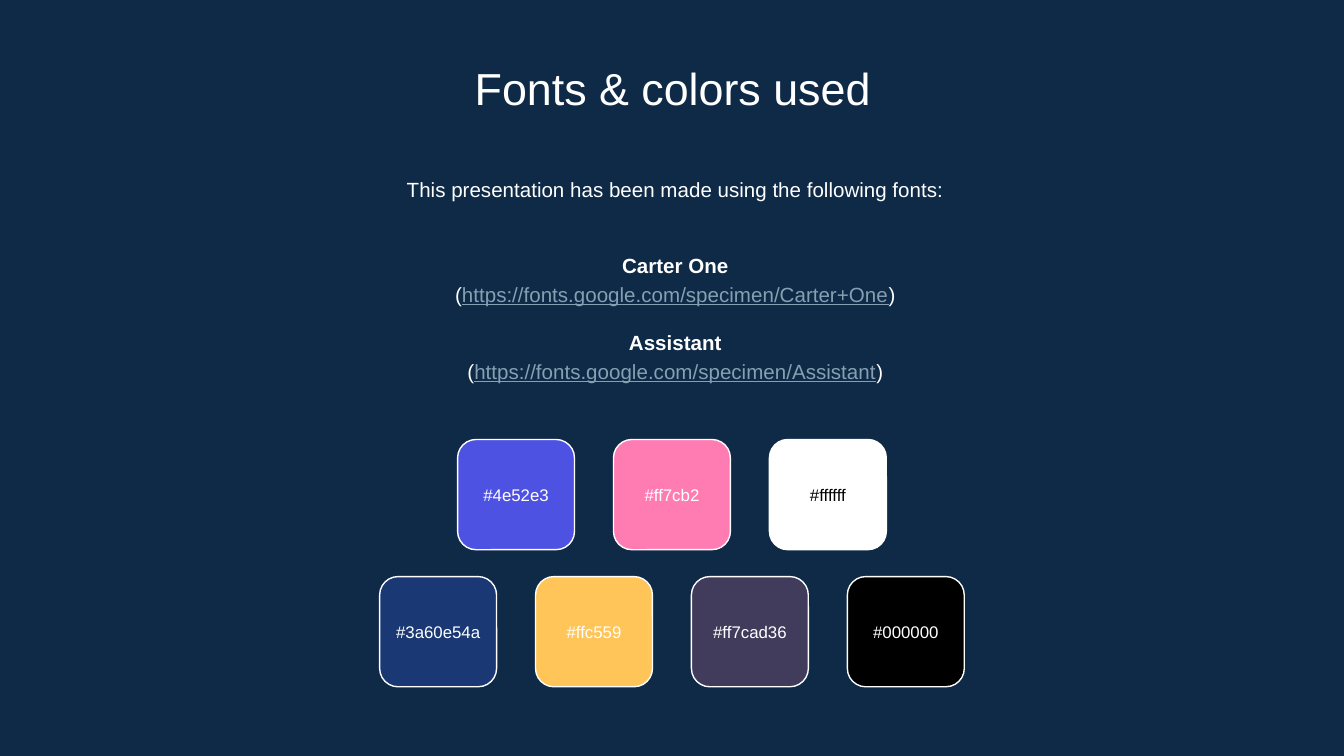
from dataclasses import dataclass

from lxml import etree
from pptx import Presentation
from pptx.dml.color import RGBColor
from pptx.enum.shapes import MSO_SHAPE
from pptx.enum.text import MSO_ANCHOR, MSO_AUTO_SIZE, PP_ALIGN
from pptx.oxml.ns import qn
from pptx.util import Inches, Pt

CENTER = PP_ALIGN.CENTER
TOP, MIDDLE = MSO_ANCHOR.TOP, MSO_ANCHOR.MIDDLE
NO_AUTOFIT = MSO_AUTO_SIZE.NONE
ROUNDED = MSO_SHAPE.ROUNDED_RECTANGLE


@dataclass(frozen=True)
class Theme:
    font: str = "Arial"
    background: str = "0E2A47"
    text: str = "FFFFFF"
    dark_text: str = "000000"
    link: str = "869FB2"
    outline: str = "FFFFFF"
    title_size: float = 24
    body_size: float = 11
    label_size: float = 9
    outline_width: float = 0.75


THEME = Theme()

FONTS = [
    ("Carter One", "https://fonts.google.com/specimen/Carter+One"),
    ("Assistant", "https://fonts.google.com/specimen/Assistant"),
]

# Each swatch: label, fill, opacity in percent, label colour
SWATCH_ROWS = [
    [
        ("#4e52e3", "4E52E3", 100, THEME.text),
        ("#ff7cb2", "FF7CB2", 100, THEME.text),
        ("#ffffff", "FFFFFF", 100, THEME.dark_text),
    ],
    [
        ("#3a60e54a", "3A60E5", 29, THEME.text),
        ("#ffc559", "FFC559", 100, THEME.text),
        ("#ff7cad36", "FF7CAD", 21, THEME.text),
        ("#000000", "000000", 100, THEME.text),
    ],
]


def place(shape, box):
    for side, length in zip(("left", "top", "width", "height"), box):
        setattr(shape, side, Inches(length))


def format_frame(frame, anchor):
    inset = Inches(0.1)
    settings = {
        "word_wrap": True,
        "auto_size": NO_AUTOFIT,
        "vertical_anchor": anchor,
        "margin_left": inset,
        "margin_right": inset,
        "margin_top": inset,
        "margin_bottom": inset,
    }
    for name, value in settings.items():
        setattr(frame, name, value)


def write_line(paragraph, runs, size, spacing=1.0, before=0):
    """Fill a centred paragraph from (text, colour, font settings) runs."""
    properties = paragraph._p.get_or_add_pPr()
    properties.set("marL", "0")
    properties.set("indent", "0")
    etree.SubElement(properties, qn("a:buNone"))
    paragraph.alignment = CENTER
    paragraph.line_spacing = spacing
    paragraph.space_before = Pt(before)
    for text, color, extras in runs:
        run = paragraph.add_run()
        run.text = text
        settings = {"name": THEME.font, "size": Pt(size), **extras}
        for name, value in settings.items():
            setattr(run.font, name, value)
        run.font.color.rgb = RGBColor.from_string(color)


def add_text(slide, box, text, size, color, anchor=TOP, spacing=1.0):
    label = slide.shapes.add_textbox(*map(Inches, box))
    format_frame(label.text_frame, anchor)
    write_line(label.text_frame.paragraphs[0], [(text, color, {})], size, spacing)


def fill_title(title, box, text):
    place(title, box)
    format_frame(title.text_frame, TOP)
    write_line(title.text_frame.paragraphs[0], [(text, THEME.text, {})], THEME.title_size)


def fill_font_list(body, box, fonts):
    place(body, box)
    frame = body.text_frame
    format_frame(frame, MIDDLE)
    for index, (name, address) in enumerate(fonts):
        heading = frame.add_paragraph() if index else frame.paragraphs[0]
        write_line(heading, [(name, THEME.text, {"bold": True})],
                   THEME.body_size, 1.15, before=11 if index else 0)
        address_runs = [
            ("(", THEME.text, {}),
            (address, THEME.link, {"underline": True}),
            (")", THEME.text, {}),
        ]
        write_line(frame.add_paragraph(), address_runs, THEME.body_size, 1.15)


def add_swatch(slide, box, label, color, opacity, label_color):
    left, top, width, height = box
    tile = slide.shapes.add_shape(ROUNDED, *map(Inches, box))
    tile.shadow.inherit = False
    tile.fill.solid()
    tile.fill.fore_color.rgb = RGBColor.from_string(color)
    if opacity < 100:
        fill_color = tile.fill._xPr.find(f"{qn('a:solidFill')}/{qn('a:srgbClr')}")
        etree.SubElement(fill_color, qn("a:alpha"), val=str(opacity * 1000))
    tile.line.color.rgb = RGBColor.from_string(THEME.outline)
    tile.line.width = Pt(THEME.outline_width)

    label_height = 0.48
    label_box = (left, top + (height - label_height) / 2, width, label_height)
    add_text(slide, label_box, label, THEME.label_size, label_color, MIDDLE)


def add_palette(slide, box, rows):
    """Centre each row of swatches in the box."""
    left, top, width, height = box
    tile_width, tile_height, gap = 0.87, 0.82, 0.29
    row_step = (height - tile_height) / (len(rows) - 1)
    for row_index, row in enumerate(rows):
        row_width = len(row) * (tile_width + gap) - gap
        row_left = left + (width - row_width) / 2
        for column, swatch in enumerate(row):
            tile_box = (row_left + column * (tile_width + gap),
                        top + row_index * row_step, tile_width, tile_height)
            add_swatch(slide, tile_box, *swatch)


def build_fonts_and_colors(presentation):
    slide = presentation.slides.add_slide(presentation.slide_layouts[1])
    background = slide.background.fill
    background.solid()
    background.fore_color.rgb = RGBColor.from_string(THEME.background)

    title, body = slide.placeholders
    fill_title(title, (1.15, 0.35, 7.71, 0.53), "Fonts & colors used")
    add_text(slide, (1.17, 1.19, 7.71, 0.48),
             "This presentation has been made using the following fonts:",
             THEME.body_size, THEME.text, spacing=1.15)
    fill_font_list(body, (1.17, 1.67, 7.71, 1.37), FONTS)
    add_palette(slide, (1.15, 3.27, 7.7, 1.84), SWATCH_ROWS)


def main():
    presentation = Presentation()
    presentation.slide_width = Inches(10)
    presentation.slide_height = presentation.slide_width * 9 // 16
    build_fonts_and_colors(presentation)
    presentation.save("out.pptx")


if __name__ == "__main__":
    main()
